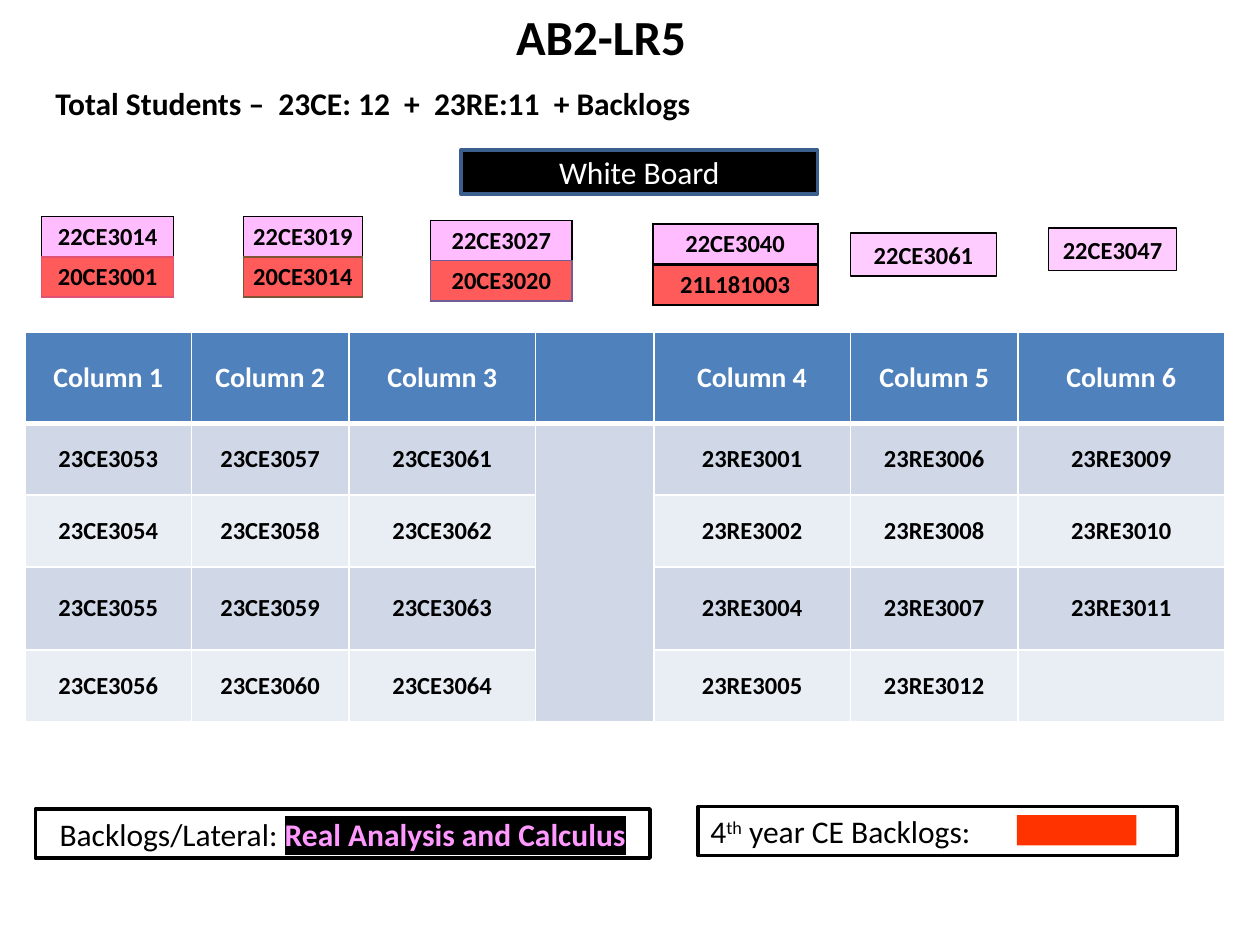
import pptx
import pptx.dml.color
import pptx.enum.shapes
import pptx.enum.text
import pptx.oxml
import pptx.oxml.ns
import pptx.util
from pptx.util import Inches

ALIGN = pptx.enum.text.PP_ALIGN
MIDDLE = pptx.enum.text.MSO_ANCHOR.MIDDLE
TOP = pptx.enum.text.MSO_ANCHOR.TOP
PINK, RED = "FFBDFF", "FF5B5B"


def color(value):
    return pptx.dml.color.RGBColor.from_string(value)


def fill_with(target, value):
    target.fill.solid()
    target.fill.fore_color.rgb = color(value)


def format_paragraph(paragraph, size, ink="000000", bold=False, align=ALIGN.CENTER):
    paragraph.alignment = align
    paragraph.font.name = "Calibri"
    paragraph.font.size = pptx.util.Pt(size)
    paragraph.font.bold = bold
    paragraph.font.color.rgb = color(ink)


def add_box(slide, left, top, width, height, fill, line=None, line_width=2):
    box = slide.shapes.add_shape(
        pptx.enum.shapes.MSO_SHAPE.RECTANGLE,
        Inches(left), Inches(top), Inches(width), Inches(height))
    box.shadow.inherit = False
    fill_with(box, fill)
    if line:
        box.line.color.rgb = color(line)
        box.line.width = pptx.util.Pt(line_width)
    else:
        box.line.fill.background()
    frame = box.text_frame
    frame.word_wrap = True
    frame.vertical_anchor = MIDDLE
    return frame.paragraphs[0]


def add_runs(paragraph, *texts):
    runs = []
    for text in texts:
        run = paragraph.add_run()
        run.text = text
        runs.append(run)
    return runs


def highlight(run, value):
    namespace = pptx.oxml.ns.nsdecls("a")
    run._r.get_or_add_rPr().append(pptx.oxml.parse_xml(
        f'<a:highlight {namespace}><a:srgbClr val="{value}"/></a:highlight>'))


def set_borders(cell, **sides):
    namespace = pptx.oxml.ns.nsdecls("a")
    properties = cell._tc.get_or_add_tcPr()
    for side in "LRTB":
        value, width = sides[side]
        properties.append(pptx.oxml.parse_xml(
            f'<a:ln{side} {namespace} w="{int(width * 12700)}">'
            f'<a:solidFill><a:srgbClr val="{value}"/></a:solidFill></a:ln{side}>'))


def add_table(slide, left, top, widths, heights):
    table = slide.shapes.add_table(
        len(heights), len(widths), Inches(left), Inches(top),
        Inches(sum(widths)), Inches(sum(heights))).table
    table.first_row = False
    table.horz_banding = False
    for column, width in zip(table.columns, widths):
        column.width = Inches(width)
    for row, height in zip(table.rows, heights):
        row.height = Inches(height)
    return table


def write_cell(cell, text, fill, size=14, ink="000000", tight=True):
    fill_with(cell, fill)
    cell.vertical_anchor = MIDDLE
    if tight:
        cell.margin_left = cell.margin_right = Inches(0.03)
        cell.margin_top = cell.margin_bottom = 0
    cell.text = text
    format_paragraph(cell.text_frame.paragraphs[0], size, ink, True)


def add_seating(slide):
    columns = [
        ("Column 1", "23CE3053", "23CE3054", "23CE3055", "23CE3056"),
        ("Column 2", "23CE3057", "23CE3058", "23CE3059", "23CE3060"),
        ("Column 3", "23CE3061", "23CE3062", "23CE3063", "23CE3064"),
        ("", "", "", "", ""),
        ("Column 4", "23RE3001", "23RE3002", "23RE3004", "23RE3005"),
        ("Column 5", "23RE3006", "23RE3008", "23RE3007", "23RE3012"),
        ("Column 6", "23RE3009", "23RE3010", "23RE3011", ""),
    ]
    seating = add_table(slide, 0.2, 2.64, [1.32, 1.25, 1.48, 0.94, 1.56, 1.33, 1.64],
                        [0.72, 0.57, 0.57, 0.66, 0.57])
    thin, thick = ("FFFFFF", 1), ("FFFFFF", 3)
    for c, students in enumerate(columns):
        for r, text in enumerate(students):
            cell = seating.cell(r, c)
            set_borders(cell, L=thin, R=thin, T=thick if r == 1 else thin,
                        B=thick if r == 0 else thin)
            if r == 0:
                write_cell(cell, text, "4F81BD", 16, "FFFFFF", tight=False)
            else:
                write_cell(cell, text, "D0D8E8" if r % 2 else "E9EDF4")
    seating.cell(1, 3).merge(seating.cell(4, 3))


def add_backlog_pair(slide, left, top, width, students, outer, inner, last):
    pair = add_table(slide, left, top, [width], [0.32, 0.32])
    upper, lower = pair.cell(0, 0), pair.cell(1, 0)
    set_borders(upper, L=outer, R=outer, T=outer, B=inner)
    set_borders(lower, L=inner, R=inner, T=inner, B=last)
    write_cell(upper, students[0], PINK)
    write_cell(lower, students[1], RED)


def add_headings(slide):
    title = slide.shapes.title
    title.left, title.top = Inches(-0.18), Inches(0)
    title.width, title.height = Inches(9.9), Inches(0.57)
    title.text_frame.text = "AB2-LR5"
    title.text_frame.auto_size = pptx.enum.text.MSO_AUTO_SIZE.NONE
    title.text_frame.vertical_anchor = TOP
    format_paragraph(title.text_frame.paragraphs[0], 28, bold=True)

    totals = slide.shapes.add_textbox(
        Inches(0.34), Inches(0.62), Inches(7.18), Inches(0.4)).text_frame
    totals.word_wrap = True
    totals.text = "Total Students –  23CE: 12  +  23RE:11  + Backlogs"
    format_paragraph(totals.paragraphs[0], 18, bold=True, align=ALIGN.LEFT)

    board = add_box(slide, 3.66, 1.19, 2.83, 0.35, "000000", "3A5F8C")
    add_runs(board, "White Board")
    format_paragraph(board, 18, "FFFFFF")


def add_legend(slide):
    lateral = add_box(slide, 0.28, 6.42, 4.88, 0.39, "FFFFFF", "000000")
    format_paragraph(lateral, 18)
    course = add_runs(lateral, "Backlogs/Lateral: ", "Real Analysis and Calculus")[1]
    course.font.bold = True
    course.font.color.rgb = color("FF99FF")
    highlight(course, "000000")

    fourth_year = add_box(slide, 5.54, 6.4, 3.8, 0.39, "FFFFFF", "000000")
    format_paragraph(fourth_year, 18, align=ALIGN.LEFT)
    ordinal = add_runs(fourth_year, "4", "th", " year CE Backlogs:")[1]
    ordinal._r.get_or_add_rPr().set("baseline", "30000")
    add_box(slide, 8.07, 6.47, 0.95, 0.24, "FF3300")


def main():
    presentation = pptx.Presentation()
    presentation.slide_width, presentation.slide_height = Inches(10), Inches(7.5)
    slide = presentation.slides.add_slide(presentation.slide_layouts[5])
    add_seating(slide)
    add_headings(slide)
    add_legend(slide)

    for left, top, width, students, accent in [
        (0.33, 1.72, 1.05, ("22CE3014", "20CE3001"), "E05273"),
        (1.93, 1.72, 0.95, ("22CE3019", "20CE3014"), "805536"),
        (3.42, 1.75, 1.12, ("22CE3027", "20CE3020"), "705D96"),
    ]:
        add_backlog_pair(slide, left, top, width, students,
                         ("000000", 0.75), (accent, 0.75), (accent, 1.5))
    black = ("000000", 1.5)
    add_backlog_pair(slide, 5.18, 1.78, 1.31, ("22CE3040", "21L181003"), black, black, black)

    for left, top, width, student in [
        (6.75, 1.85, 1.16, "22CE3061"),
        (8.32, 1.81, 1.02, "22CE3047"),
    ]:
        single = add_box(slide, left, top, width, 0.34, "FFCCFF", "000000", 0.75)
        add_runs(single, student)
        format_paragraph(single, 14, bold=True)
    presentation.save("out.pptx")


if __name__ == "__main__":
    main()
